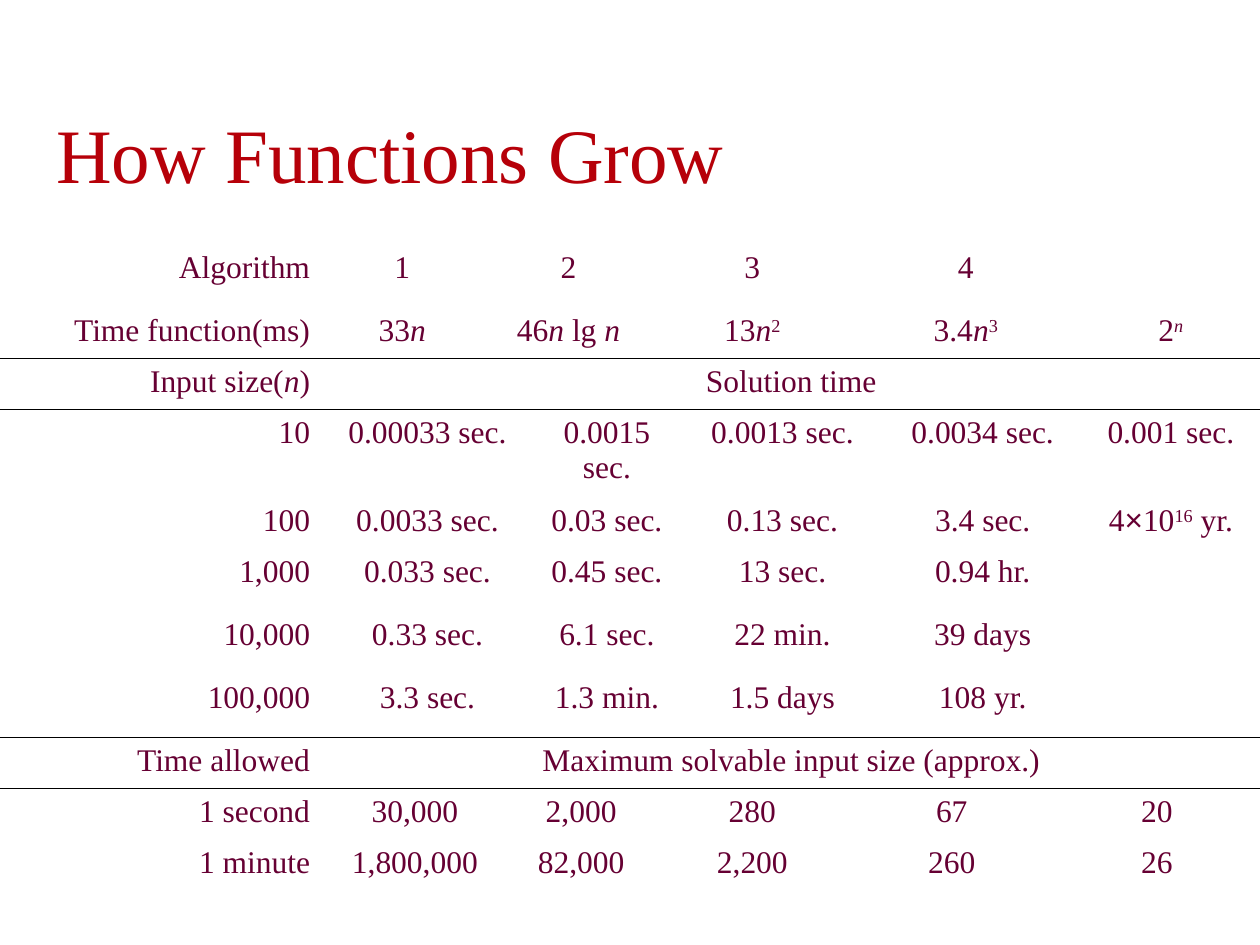
"""Build a slide with a table of how running times grow with input size."""
from lxml.etree import SubElement
from pptx import Presentation
from pptx.dml.color import RGBColor
from pptx.enum.text import MSO_ANCHOR, PP_ALIGN
from pptx.oxml.ns import qn
from pptx.util import Pt

FONT = "Times New Roman"
RED = RGBColor(0xB6, 0x00, 0x09)
PLUM = RGBColor(0x66, 0x00, 0x33)
BLACK = RGBColor(0x00, 0x00, 0x00)

TITLE = "How Functions Grow"
COLUMN_WIDTHS = [184.4, 91, 14.4, 14.4, 70.2, 15.1, 96, 19.4, 97.5, 16, 101.6]
TALL, SHORT, WRAPPED = 36, 29.15, 50.2

HEADS = (1, 1, 3, 2, 3, 1)
WHOLE = (1, 10)
TIMES = (1, 3, 2, 2, 2, 1)
SIZES = (1, 2, 2, 2, 2, 2)

ITALIC, RAISED, SYMBOL = "italic", "raised", "symbol"
N = ("n", ITALIC)
ROWS = [
    (TALL, HEADS, ["Algorithm", "1", "2", "3", "4", ""]),
    (SHORT, HEADS, ["Time function(ms)", ["33", N],
                    ["46", ("n ", ITALIC), "lg ", N],
                    ["13", N, ("2", RAISED)],
                    ["3.4", N, ("3", RAISED)],
                    ["2", ("n", ITALIC + RAISED)]]),
    (SHORT, WHOLE, [["Input size(", N, ")"], "Solution time"]),
    (WRAPPED, TIMES, ["10", "0.00033 sec.", "0.0015 sec.", "0.0013 sec.",
                      "0.0034 sec.", "0.001 sec."]),
    (SHORT, TIMES, ["100", "0.0033 sec.", "0.03 sec.", "0.13 sec.", "3.4 sec.",
                    ["4", ("×", SYMBOL), "10", ("16", RAISED), " yr."]]),
    (TALL, TIMES, ["1,000", "0.033 sec.", "0.45 sec.", "13 sec.", "0.94 hr.", ""]),
    (TALL, TIMES, ["10,000", "0.33 sec.", "6.1 sec.", "22 min.", "39 days", ""]),
    (TALL, TIMES, ["100,000", "3.3 sec.", "1.3 min.", "1.5 days", "108 yr.", ""]),
    (SHORT, WHOLE, ["Time allowed", "Maximum solvable input size (approx.)"]),
    (SHORT, SIZES, ["1 second", "30,000", "2,000", "280", "67", "20"]),
    (SHORT, SIZES, ["1 minute", "1,800,000", "82,000", "2,200", "260", "26"]),
]
RULED_BELOW = {1, 2, 7, 8}


def set_font(font, size, color):
    font.name, font.size, font.color.rgb = FONT, Pt(size), color


def set_borders(cell, row):
    ruled = {"T": row - 1 in RULED_BELOW, "B": row in RULED_BELOW}
    properties = cell._tc.get_or_add_tcPr()
    for side in "LRTB":
        line = SubElement(properties, qn("a:ln" + side))
        if ruled.get(side):
            line.set("w", str(Pt(0.45)))
            fill = SubElement(line, qn("a:solidFill"))
            SubElement(fill, qn("a:srgbClr")).set("val", str(BLACK))
        else:
            SubElement(line, qn("a:noFill"))


def write_cell(cell, content, align):
    para = cell.text_frame.paragraphs[0]
    para.alignment = align
    set_font(para.font, 18, PLUM)
    for part in [content] if isinstance(content, str) else content:
        text, style = (part, "") if isinstance(part, str) else part
        if not text:
            continue
        span = para.add_run()
        span.text = text
        if ITALIC in style:
            span.font.italic = True
        if RAISED in style:
            span._r.get_or_add_rPr().set("baseline", "30000")
        if SYMBOL in style:
            span.font.name = "Arial"


def add_title(page):
    title = page.shapes.title
    title.left, title.top, title.width, title.height = Pt(25), Pt(57), Pt(680), Pt(60)
    frame = title.text_frame
    frame.text = TITLE
    frame.vertical_anchor = MSO_ANCHOR.BOTTOM
    para = frame.paragraphs[0]
    para.alignment = PP_ALIGN.LEFT
    set_font(para.font, 44, RED)


def add_growth_table(page):
    heights = [height for height, _, _ in ROWS]
    table = page.shapes.add_table(len(ROWS), len(COLUMN_WIDTHS), Pt(0), Pt(139.6),
                                  Pt(720), Pt(sum(heights))).table
    table.first_row = table.horz_banding = False
    for column, width in zip(table.columns, COLUMN_WIDTHS):
        column.width = Pt(width)
    for index, (height, spans, contents) in enumerate(ROWS):
        table.rows[index].height = Pt(height)
        for cell in table.rows[index].cells:
            set_borders(cell, index)
            cell.fill.background()
        column = 0
        for count, content in zip(spans, contents):
            cell = table.cell(index, column)
            if count > 1:
                cell.merge(table.cell(index, column + count - 1))
            write_cell(cell, content, PP_ALIGN.CENTER if column else PP_ALIGN.RIGHT)
            column += count


def main():
    deck = Presentation()
    deck.slide_width, deck.slide_height = Pt(720), Pt(540)
    page = deck.slides.add_slide(deck.slide_layouts[5])
    add_title(page)
    add_growth_table(page)
    deck.save("out.pptx")


if __name__ == "__main__":
    main()
